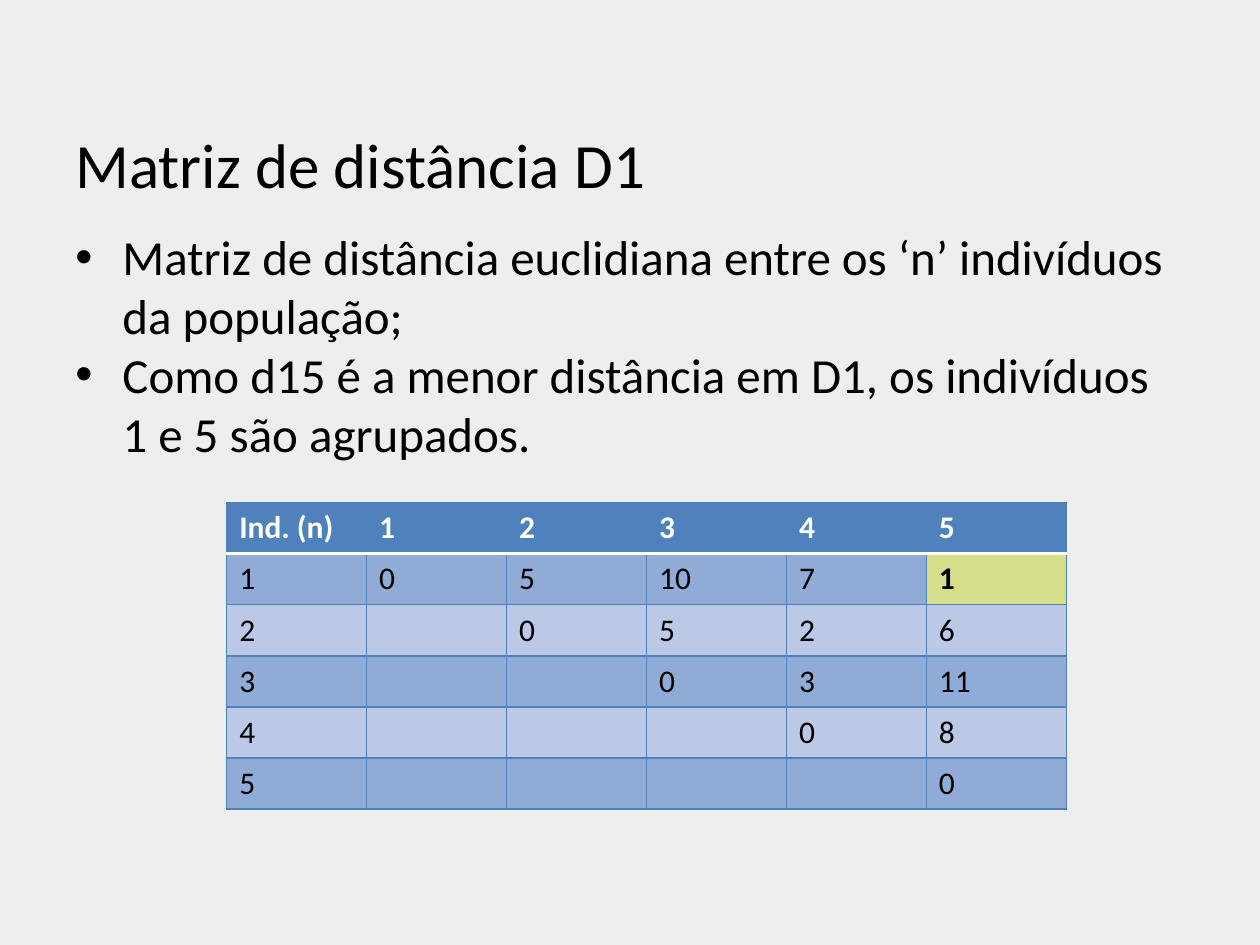
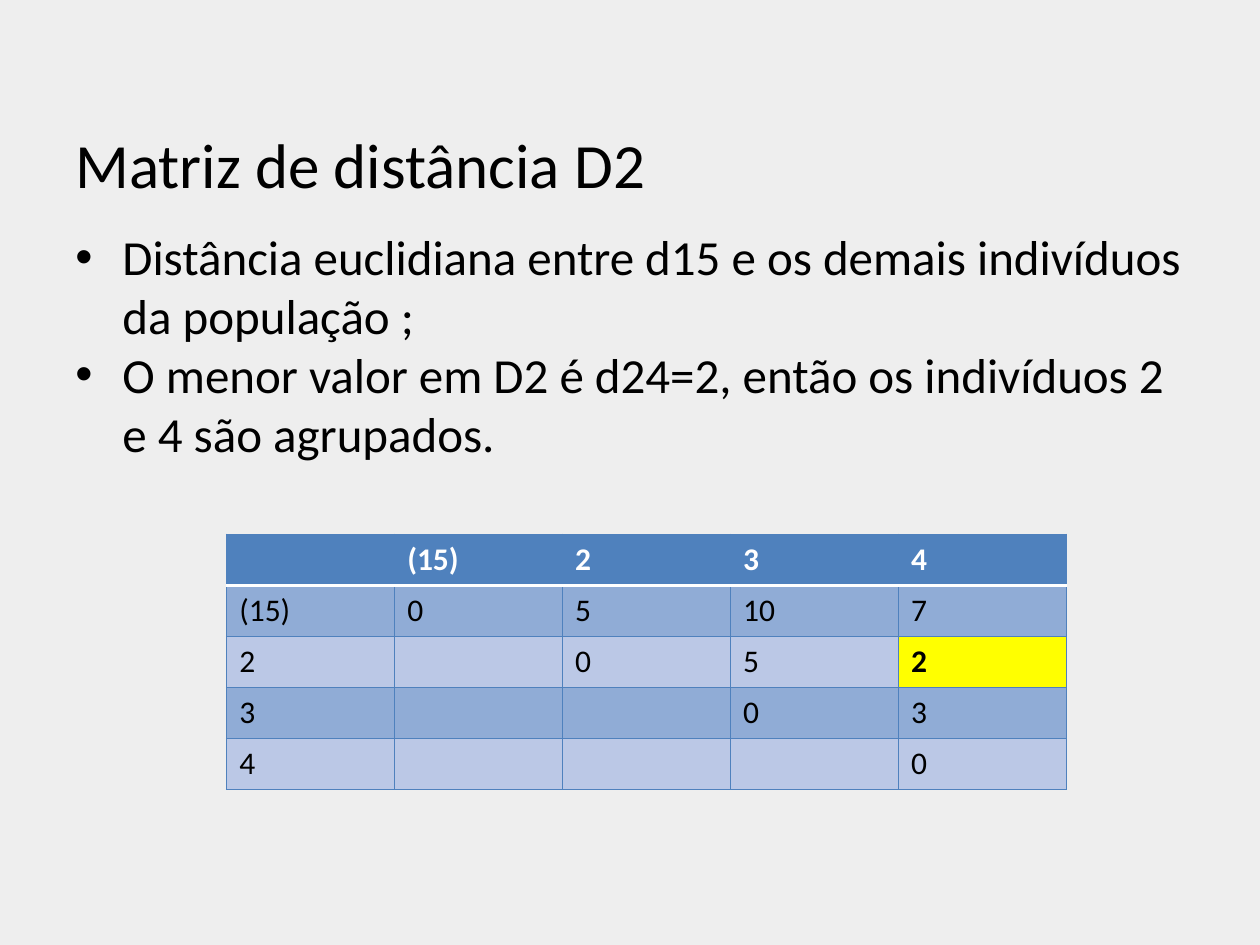
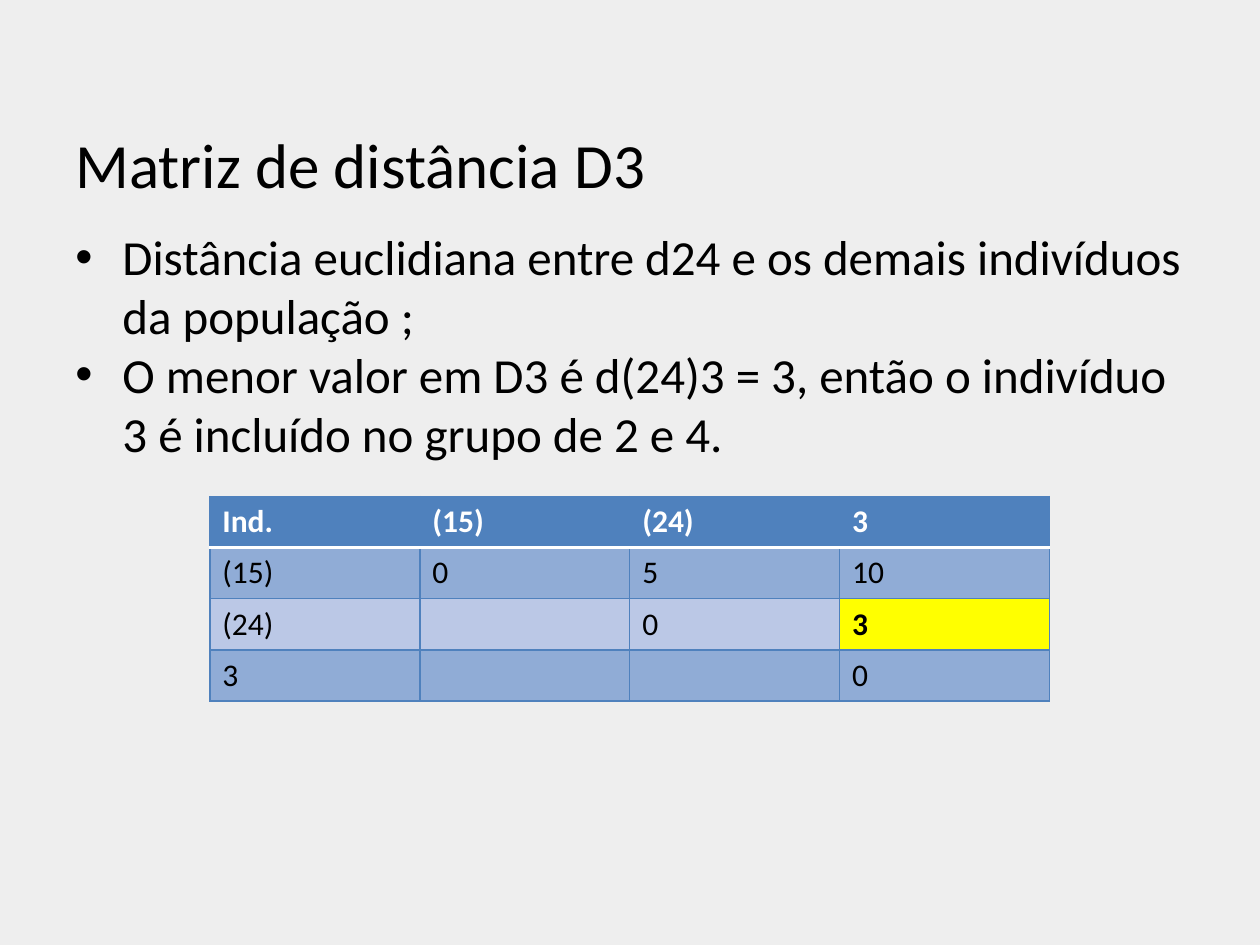
"""Build three slides that follow the distance matrices of a hierarchical clustering."""
from dataclasses import dataclass

from lxml.etree import SubElement
from pptx import Presentation
from pptx.dml.color import RGBColor as Color
from pptx.enum.text import MSO_ANCHOR as Anchor
from pptx.oxml.ns import qn
from pptx.util import Cm, Pt

MATRICES = [
    {
        "title": "Matriz de distância D1",
        "bullets": [
            "Matriz de distância euclidiana entre os ‘n’ indivíduos da população;",
            "Como d15 é a menor distância em D1, os indivíduos 1 e 5 são agrupados.",
        ],
        "corner": "Ind. (n)",
        "labels": ["1", "2", "3", "4", "5"],
        "distances": [[0, 5, 10, 7, 1], [0, 5, 2, 6], [0, 3, 11], [0, 8], [0]],
        "smallest": (1, 5),
        "highlight": "D6DE8A",
        "position": (4.57, 10.13),
    },
    {
        "title": "Matriz de distância D2",
        "bullets": [
            "Distância euclidiana entre d15 e os demais indivíduos da população ;",
            "O menor valor em D2 é d24=2, então os indivíduos 2 e 4 são agrupados.",
        ],
        "corner": "",
        "labels": ["(15)", "2", "3", "4"],
        "distances": [[0, 5, 10, 7], [0, 5, 2], [0, 3], [0]],
        "smallest": (2, 4),
        "highlight": "FFFF00",
        "position": (4.57, 10.77),
    },
    {
        "title": "Matriz de distância D3",
        "bullets": [
            "Distância euclidiana entre d24 e os demais indivíduos da população ;",
            "O menor valor em D3 é d(24)3 = 3, então o indivíduo 3 é incluído no grupo de 2 e 4.",
        ],
        "corner": "Ind.",
        "labels": ["(15)", "(24)", "3"],
        "distances": [[0, 5, 10], [0, 3], [0]],
        "smallest": (2, 3),
        "highlight": "FFFF00",
        "position": (4.23, 10.01),
    },
]


@dataclass(frozen=True)
class Theme:
    font: str = "Calibri"
    background: str = "EEEEEE"
    text: str = "000000"
    header_text: str = "FFFFFF"
    header: str = "4F81BD"
    bands: tuple = ("90ACD6", "BBC8E6")
    rule: str = "FFFFFF"
    title_size: int = 36
    body_size: int = 28
    table_size: int = 18


THEME = Theme()
TITLE_BOX = (1.27, 0.99, 22.86, 3.18)
BODY_BOX = (1.27, 4.45, 22.86, 12.57)
TABLE_WIDTH = 16.93
ROW_HEIGHT = 1.03
BULLET_INDENT = 0.95


def format_run(run, size, color=THEME.text, bold=False):
    values = {"name": THEME.font, "size": Pt(size), "bold": bold}
    for name, value in values.items():
        setattr(run.font, name, value)
    run.font.color.rgb = Color.from_string(color)


def add_text(slide, box, lines, size, anchor=Anchor.TOP, bulleted=False):
    frame = slide.shapes.add_textbox(*map(Cm, box)).text_frame
    for name, value in {"word_wrap": True, "vertical_anchor": anchor}.items():
        setattr(frame, name, value)
    frame.text = "\n".join(lines)
    for paragraph in frame.paragraphs:
        format_run(paragraph.runs[0], size)
        if bulleted:
            add_bullet(paragraph)


def add_bullet(paragraph):
    properties = paragraph._p.get_or_add_pPr()
    properties.set("marL", str(Cm(BULLET_INDENT)))
    properties.set("indent", str(-Cm(BULLET_INDENT)))
    SubElement(properties, qn("a:buFont"), typeface="Arial")
    SubElement(properties, qn("a:buChar"), char="•")


def add_borders(cell, row):
    borders = {side: (THEME.header, 1) for side in "LRTB"}
    if row < 2:
        borders["B" if row == 0 else "T"] = (THEME.rule, 2)
    properties = cell._tc.get_or_add_tcPr()
    for side, (color, width) in borders.items():
        line = SubElement(properties, qn(f"a:ln{side}"), w=str(Pt(width)))
        fill = SubElement(line, qn("a:solidFill"))
        SubElement(fill, qn("a:srgbClr"), val=color)


def matrix_rows(matrix):
    yield [matrix["corner"], *matrix["labels"]]
    for index, (label, values) in enumerate(zip(matrix["labels"], matrix["distances"])):
        yield [label, *[""] * index, *map(str, values)]


def add_matrix(slide, matrix):
    rows = list(matrix_rows(matrix))
    count = len(rows)
    box = (*matrix["position"], TABLE_WIDTH, ROW_HEIGHT * count)
    table = slide.shapes.add_table(count, count, *map(Cm, box)).table
    table.horz_banding = False
    for row, texts in enumerate(rows):
        table.rows[row].height = Cm(ROW_HEIGHT)
        table.columns[row].width = Cm(TABLE_WIDTH / count)
        for column, text in enumerate(texts):
            cell = table.cell(row, column)
            is_header = row == 0
            is_smallest = (row, column) == matrix["smallest"]
            fill = THEME.header if is_header else THEME.bands[(row - 1) % 2]
            add_borders(cell, row)
            cell.fill.solid()
            cell.fill.fore_color.rgb = Color.from_string(matrix["highlight"] if is_smallest else fill)
            if text:
                cell.text = text
                color = THEME.header_text if is_header else THEME.text
                run = cell.text_frame.paragraphs[0].runs[0]
                format_run(run, THEME.table_size, color, is_header or is_smallest)


def main():
    presentation = Presentation()
    presentation.slide_width = Cm(25.4)
    presentation.slide_height = Cm(19.05)
    background = presentation.slide_master.background.fill
    background.solid()
    background.fore_color.rgb = Color.from_string(THEME.background)
    for matrix in MATRICES:
        slide = presentation.slides.add_slide(presentation.slide_layouts[6])
        add_text(slide, BODY_BOX, matrix["bullets"], THEME.body_size, bulleted=True)
        add_text(slide, TITLE_BOX, [matrix["title"]], THEME.title_size, Anchor.BOTTOM)
        add_matrix(slide, matrix)
    presentation.save("out.pptx")


if __name__ == "__main__":
    main()
